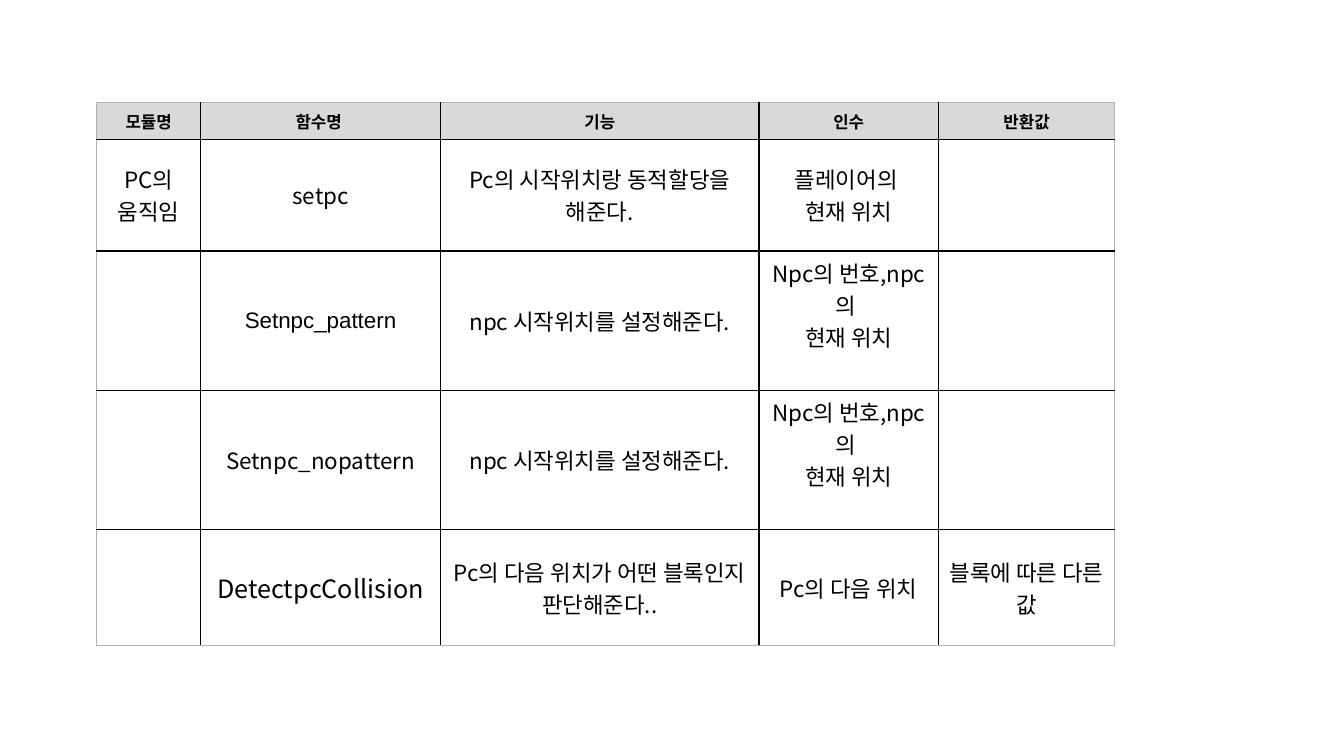
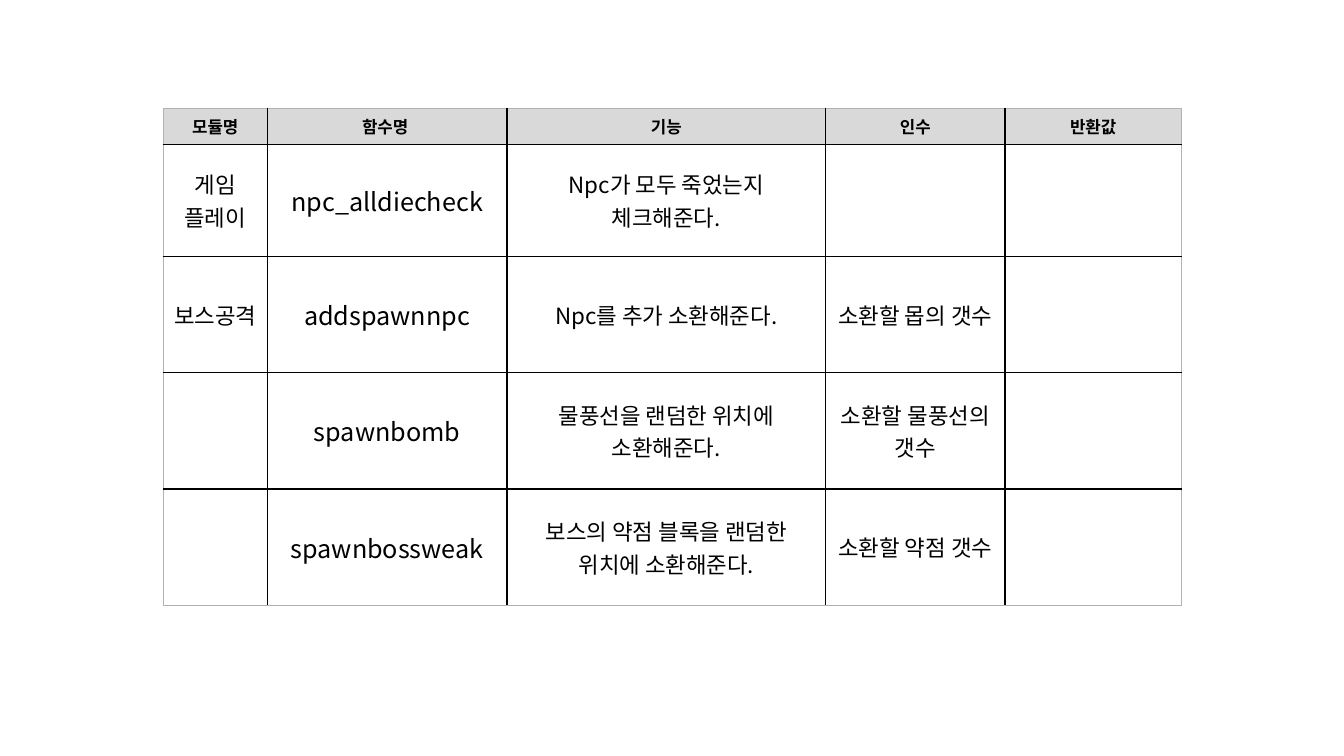
from dataclasses import dataclass

import lxml.etree
import pptx
import pptx.dml.color
import pptx.enum.text
import pptx.oxml.ns
import pptx.util


@dataclass(frozen=True)
class Theme:
    font: str = "Noto Sans CJK KR"
    latin_font: str = "Arial"
    ink: str = "000000"
    header_fill: str = "D9D9D9"
    body_fill: str = "FFFFFF"
    outer_border: str = "B2B2B2"
    border_width: float = 1
    header_size: int = 12
    body_size: int = 16
    name_size: int = 18


@dataclass(frozen=True)
class Entry:
    """Text of one cell; each line is a paragraph."""
    lines: tuple[str, ...] = ()
    size: int = 16
    font: str = "Noto Sans CJK KR"
    bold: bool = False
    bottom_margin: float = 0.67  # percent of the slide height


@dataclass(frozen=True)
class FunctionTable:
    """Position and row heights are percentages of the slide's size."""
    left: float
    top: float
    row_heights: tuple[float, ...]
    rows: tuple[tuple[Entry, ...], ...]


THEME = Theme()
SLIDE_WIDTH = pptx.util.Inches(13.333)
SLIDE_HEIGHT = pptx.util.Inches(7.5)
COLUMN_WIDTHS = (7.73, 17.85, 23.7, 13.35, 13.13)  # percent of the slide width
HEADERS = ("모듈명", "함수명 ", "기능", "인수", "반환값")
HEADER_ROW = tuple(Entry((header,), THEME.header_size, bold=True) for header in HEADERS)


def body(*lines: str) -> Entry:
    return Entry(lines, THEME.body_size)


def name(text: str) -> Entry:
    return Entry((text,), THEME.name_size)


EMPTY = Entry()
NPC_PURPOSE = body("npc 시작위치를 설정해준다.")
NPC_ARGUMENTS = Entry(("Npc의 번호,npc의 ", "현재 위치"), THEME.body_size, bottom_margin=4.95)

TABLES = (
    FunctionTable(7.2, 13.6, (4.8, 14.8, 18.45, 18.45, 15.33), (
        HEADER_ROW,
        (body("PC의 움직임"), body("setpc"), body("Pc의 시작위치랑 동적할당을 해준다."),
         body("플레이어의 ", "현재 위치"), EMPTY),
        (EMPTY, Entry(("Setnpc_pattern",), THEME.body_size, THEME.latin_font),
         NPC_PURPOSE, NPC_ARGUMENTS, EMPTY),
        (EMPTY, body("Setnpc_nopattern"), NPC_PURPOSE, NPC_ARGUMENTS, EMPTY),
        (EMPTY, name("DetectpcCollision"), body("Pc의 다음 위치가 어떤 블록인지 판단해준다.."),
         body("Pc의 다음 위치"), body("블록에 따른 다른 값")),
    )),
    FunctionTable(12.15, 14.4, (4.7, 14.8, 15.4, 15.4, 15.4), (
        HEADER_ROW,
        (body("게임 플레이"), name("npc_alldiecheck"),
         body("Npc가 모두 죽었는지 체크해준다."), EMPTY, EMPTY),
        (body("보스공격"), name("addspawnnpc"), body("Npc를 추가 소환해준다."),
         body("소환할 몹의 갯수"), EMPTY),
        (EMPTY, name("spawnbomb"), body("물풍선을 랜덤한 위치에 소환해준다."),
         body("소환할 물풍선의 갯수"), EMPTY),
        (EMPTY, name("spawnbossweak"), body("보스의 약점 블록을 랜덤한 위치에 소환해준다."),
         body("소환할 약점 갯수"), EMPTY),
    )),
)


def across(percent: float) -> int:
    return round(SLIDE_WIDTH * percent / 100)


def down(percent: float) -> int:
    return round(SLIDE_HEIGHT * percent / 100)


def color(value: str) -> pptx.dml.color.RGBColor:
    return pptx.dml.color.RGBColor.from_string(value)


def set_borders(cell, colors: dict[str, str]) -> None:
    """Put the four border lines ahead of the fill, in schema order."""
    properties = cell._tc.get_or_add_tcPr()
    for index, (tag, value) in enumerate(colors.items()):
        line = lxml.etree.Element(pptx.oxml.ns.qn(f"a:{tag}"),
                                  w=str(pptx.util.Pt(THEME.border_width)))
        fill = lxml.etree.SubElement(line, pptx.oxml.ns.qn("a:solidFill"))
        lxml.etree.SubElement(fill, pptx.oxml.ns.qn("a:srgbClr"), val=value)
        properties.insert(index, line)


def write_entry(cell, entry: Entry) -> None:
    cell.vertical_anchor = pptx.enum.text.MSO_ANCHOR.MIDDLE
    cell.margin_bottom = down(entry.bottom_margin)
    for index, line in enumerate(entry.lines):
        frame = cell.text_frame
        paragraph = frame.paragraphs[0] if index == 0 else frame.add_paragraph()
        paragraph.alignment = pptx.enum.text.PP_ALIGN.CENTER
        run = paragraph.add_run()
        run.text = line
        run.font.size = pptx.util.Pt(entry.size)
        run.font.bold = entry.bold
        run.font.color.rgb = color(THEME.ink)
        run.font.name = entry.font
        # Korean text takes its face from the East Asian font
        east_asian = lxml.etree.Element(pptx.oxml.ns.qn("a:ea"), typeface=THEME.font)
        run._r.get_or_add_rPr().find(pptx.oxml.ns.qn("a:latin")).addnext(east_asian)


def draw_table(slide, content: FunctionTable) -> None:
    row_count, column_count = len(content.rows), len(COLUMN_WIDTHS)
    table = slide.shapes.add_table(
        row_count, column_count, across(content.left), down(content.top),
        across(sum(COLUMN_WIDTHS)), down(sum(content.row_heights))).table
    table.first_row = table.horz_banding = False
    for column, width in zip(table.columns, COLUMN_WIDTHS):
        column.width = across(width)
    for row, height in zip(table.rows, content.row_heights):
        row.height = down(height)

    # Cells: grey outside edge, black inner lines
    for row_index, entries in enumerate(content.rows):
        for column_index, entry in enumerate(entries):
            cell = table.cell(row_index, column_index)
            write_entry(cell, entry)
            cell.fill.solid()
            cell.fill.fore_color.rgb = color(
                THEME.header_fill if row_index == 0 else THEME.body_fill)
            outside = {"lnL": column_index == 0, "lnR": column_index == column_count - 1,
                       "lnT": row_index == 0, "lnB": row_index == row_count - 1}
            set_borders(cell, {tag: THEME.outer_border if edge else THEME.ink
                               for tag, edge in outside.items()})


def main() -> None:
    presentation = pptx.Presentation()
    presentation.slide_width, presentation.slide_height = SLIDE_WIDTH, SLIDE_HEIGHT
    blank_layout = presentation.slide_layouts[6]
    for content in TABLES:
        draw_table(presentation.slides.add_slide(blank_layout), content)
    presentation.save("out.pptx")


if __name__ == "__main__":
    main()
